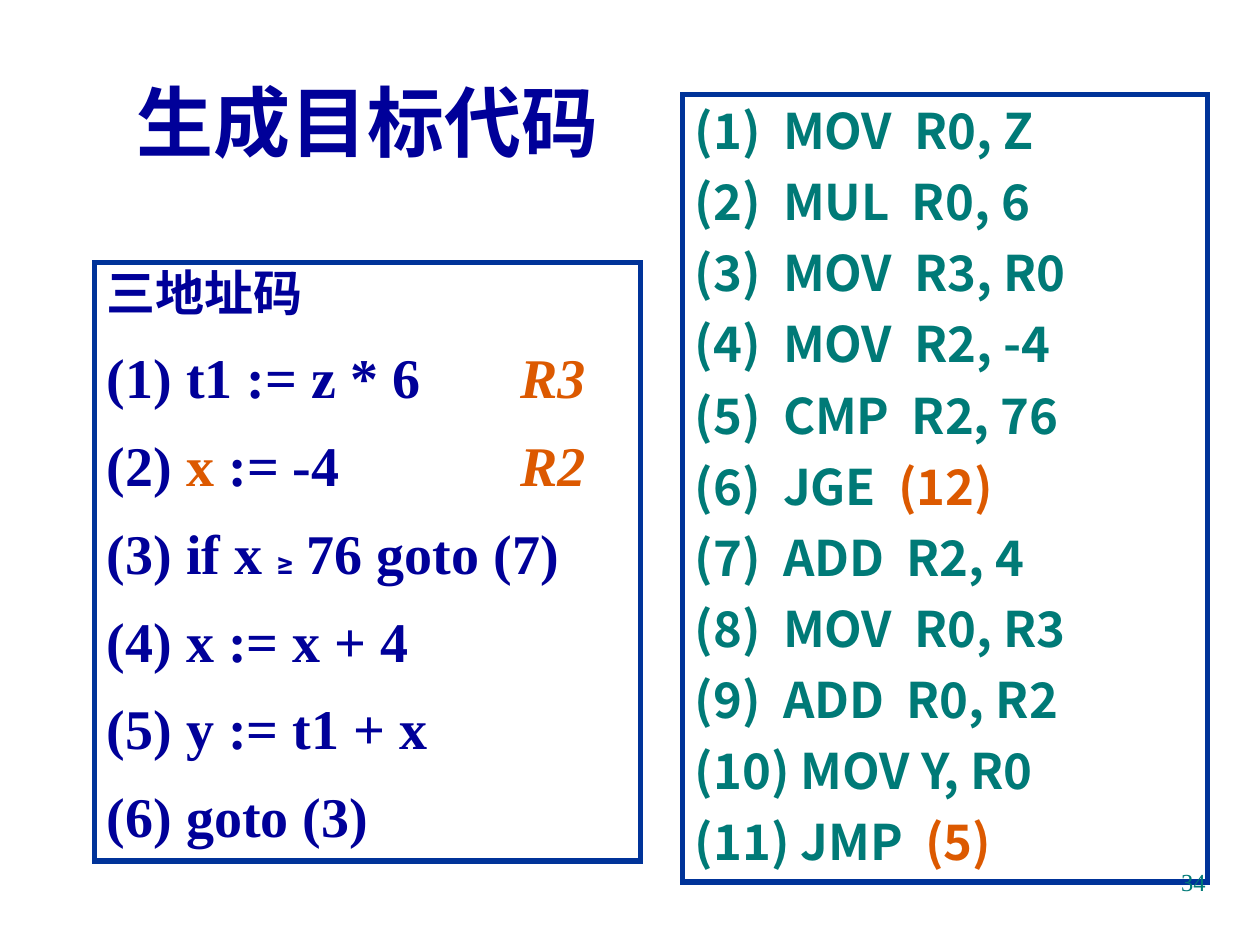
from lxml import etree
from pptx import Presentation
from pptx import util as u
from pptx.dml.color import RGBColor
from pptx.enum import shapes, text
from pptx.oxml import ns

CELL = u.Inches(1) // 12  # the slide is a grid of 120 columns by 90 rows
SANS, SERIF, SYMBOL = "Noto Sans CJK JP", "Times New Roman", "Roboto"
NAVY, TEAL, ORANGE, FRAME = "000099", "007A77", "DC5900", "003399"
REGISTER_TAB = u.Inches(3.28)

MARK = {"color": ORANGE}
REGISTER = {"color": ORANGE, "italic": True}
RELATION = {"size": 18, "name": SYMBOL}

# A line is a list of parts: plain text, or text with its own style.
THREE_ADDRESS_CODE = [
    ["(1) t1 := z * 6\t", ("R3", REGISTER)],
    ["(2) ", ("x ", MARK), ":= -4\t", ("R2", REGISTER)],
    ["(3) if x ", ("≥", RELATION), " 76 goto (7)"],
    ["(4) x := x + 4"],
    ["(5) y := t1 + x"],
    ["(6) goto (3)"],
]
TARGET_CODE = [
    ["(1)  MOV  R0, Z"],
    ["(2)  MUL  R0, 6"],
    ["(3)  MOV  R3, R0"],
    ["(4)  MOV  R2, -4"],
    ["(5)  CMP  R2, 76"],
    ["(6)  JGE  ", ("(12)", MARK)],
    ["(7)  ADD  R2, 4"],
    ["(8)  MOV  R0, R3"],
    ["(9)  ADD  R0, R2"],
    ["(10) MOV Y, R0"],
    ["(11) JMP  ", ("(5)", MARK)],
]


def rgb(value):
    return RGBColor.from_string(value)


def place(columns_and_rows):
    return [round(CELL * count) for count in columns_and_rows]


def set_font(font, color=None, **values):
    if "size" in values:
        values["size"] = u.Pt(values["size"])
    for name, value in values.items():
        setattr(font, name, value)
    if color:
        font.color.rgb = rgb(color)


def add_tab(paragraph, position):
    properties = paragraph._p.get_or_add_pPr()
    tabs = etree.SubElement(properties, ns.qn("a:tabLst"))
    etree.SubElement(tabs, ns.qn("a:tab"), pos=str(position), algn="l")


def set_east_asian_font(paragraph, name):
    defaults = paragraph._p.pPr.find(ns.qn("a:defRPr"))
    etree.SubElement(defaults, ns.qn("a:ea"), typeface=name)


def write_line(frame, parts, align=text.PP_ALIGN.LEFT, spacing=1.0, before=0, **font):
    """Write one paragraph, using the empty first one when there is one."""
    first = frame.paragraphs[0]
    is_first = not first.runs
    paragraph = first if is_first else frame.add_paragraph()
    paragraph.alignment = align
    paragraph.line_spacing = spacing
    paragraph.space_before = u.Pt(0 if is_first else before)
    if any("\t" in part for part in parts):
        add_tab(paragraph, REGISTER_TAB)
    set_font(paragraph.font, **font)
    set_east_asian_font(paragraph, SANS)
    for part in parts:
        content, style = (part, {}) if isinstance(part, str) else part
        run = paragraph.add_run()
        run.text = content
        set_font(run.font, **style)


def add_label(slide, area, content, anchor=text.MSO_ANCHOR.TOP, **style):
    frame = slide.shapes.add_textbox(*place(area)).text_frame
    frame.word_wrap = True
    frame.vertical_anchor = anchor
    write_line(frame, [content], **style)


def add_code_box(slide, area):
    shape = slide.shapes.add_shape(shapes.MSO_SHAPE.RECTANGLE, *place(area))
    shape.shadow.inherit = False
    shape.fill.background()
    shape.line.color.rgb = rgb(FRAME)
    shape.line.width = u.Pt(3)
    outline = shape._element.spPr.find(ns.qn("a:ln"))
    etree.SubElement(outline, ns.qn("a:miter"), lim="800000")
    frame = shape.text_frame
    frame.word_wrap = True
    frame.vertical_anchor = text.MSO_ANCHOR.TOP
    return frame


def main():
    presentation = Presentation()
    presentation.slide_width, presentation.slide_height = place((120, 90))
    slide = presentation.slides.add_slide(presentation.slide_layouts[6])

    add_label(slide, (10, 7, 50, 9), "生成目标代码", text.MSO_ANCHOR.MIDDLE,
              align=text.PP_ALIGN.CENTER, name=SANS, size=44, bold=True, color=NAVY)

    target = add_code_box(slide, (65, 9, 50, 75))
    for line in TARGET_CODE:
        write_line(target, line, before=7,
                   name=SANS, size=28, bold=True, color=TEAL)

    source = add_code_box(slide, (9, 25, 52, 57))
    write_line(source, ["三地址码"], spacing=0.9,
               name=SERIF, size=28, bold=True, color=NAVY)
    for line in THREE_ADDRESS_CODE:
        write_line(source, line, spacing=1.1, before=8,
                   name=SERIF, size=32, bold=True, color=NAVY)

    add_label(slide, (86, 82, 30, 6.25), "34", align=text.PP_ALIGN.RIGHT,
              name=SERIF, size=14, color=TEAL)
    presentation.save("out.pptx")


if __name__ == "__main__":
    main()
